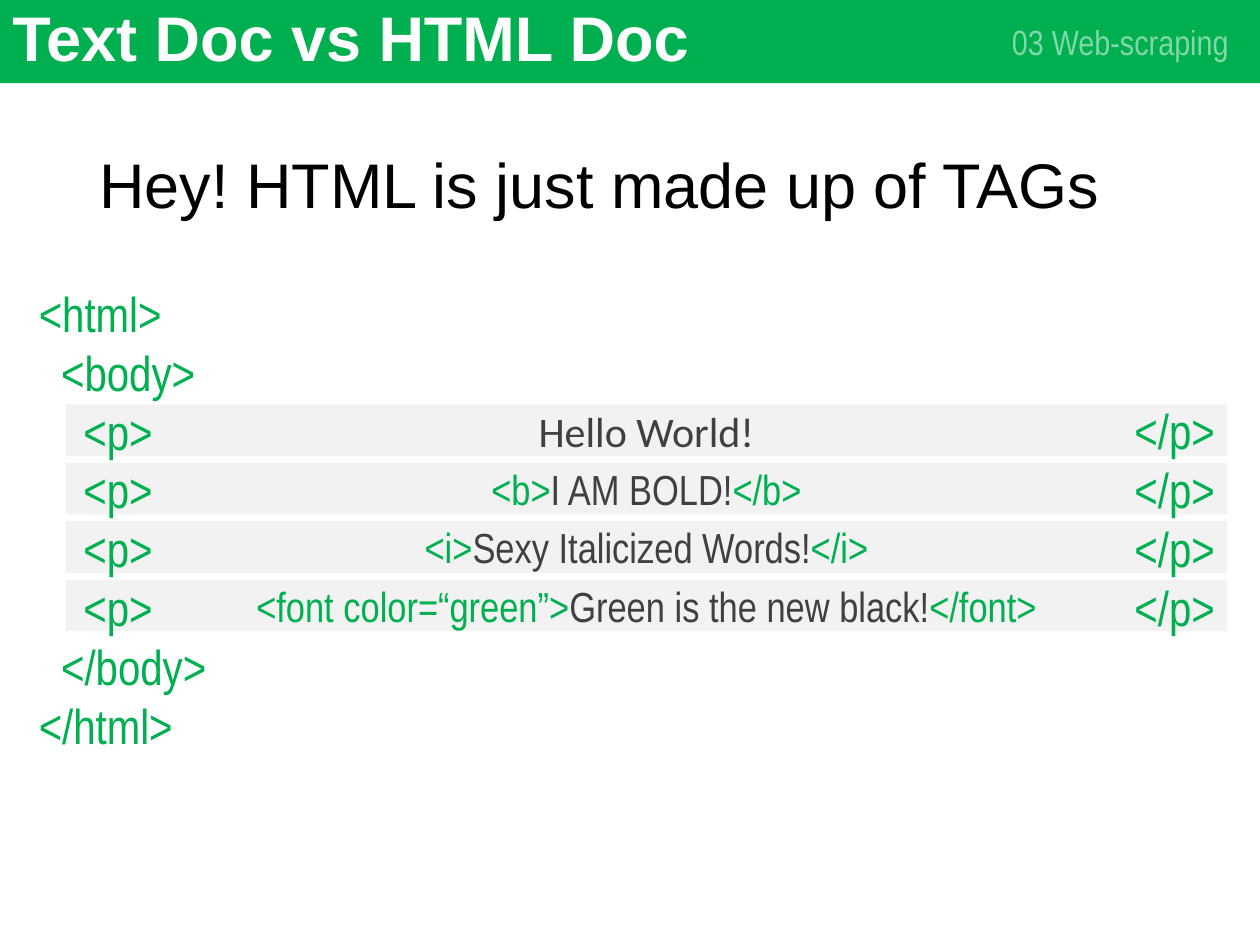
from lxml.etree import SubElement
from pptx import Presentation
from pptx.dml.color import RGBColor
from pptx.enum.shapes import MSO_SHAPE
from pptx.enum.text import MSO_ANCHOR, PP_ALIGN
from pptx.oxml.ns import qn
from pptx.util import Inches, Pt

GREEN = RGBColor(0x00, 0xB0, 0x50)
LIGHT_GRAY = RGBColor(0xF2, 0xF2, 0xF2)
DARK_GRAY = RGBColor(0x40, 0x40, 0x40)
WHITE = RGBColor(0xFF, 0xFF, 0xFF)
BLACK = RGBColor(0x00, 0x00, 0x00)

TITLE = {"name": "Arial", "size": Pt(36), "bold": True}
HEADLINE = {"name": "Arial", "size": Pt(36)}
CHAPTER = {"name": "Arial Narrow", "size": Pt(20)}
CODE = {"name": "Arial Narrow", "size": Pt(28)}
CONTENT = {"name": "Arial Narrow", "size": Pt(24)}
GREETING = {"name": "Calibri", "size": Pt(24)}

OPENING_LINES = ["<html>", "  <body>", *["    <p>"] * 4, "  </body>", "</html>"]
CLOSING_LINES = ["</p>"] * 4
ROWS = [
    (GREETING, [("Hello World!", DARK_GRAY)]),
    (CONTENT, [("<b>", GREEN), ("I AM BOLD!", DARK_GRAY), ("</b>", GREEN)]),
    (CONTENT, [("<i>", GREEN), ("Sexy Italicized Words!", DARK_GRAY), ("</i>", GREEN)]),
    (CONTENT, [("<font color=“green”>", GREEN), ("Green is the new black!", DARK_GRAY),
               ("</font>", GREEN)]),
]


def set_values(target, values):
    for name, value in values.items():
        setattr(target, name, value)


def write_lines(shape, lines, font, frame=None, paragraph_format=None):
    text_frame = shape.text_frame
    set_values(text_frame, {"word_wrap": True, **(frame or {})})
    for index, parts in enumerate(lines):
        paragraph = text_frame.add_paragraph() if index else text_frame.paragraphs[0]
        set_values(paragraph, paragraph_format or {})
        for text, color in parts:
            run = paragraph.add_run()
            run.text = text
            set_values(run.font, font)
            run.font.color.rgb = color
    return text_frame


def add_bar(slide, box, color):
    bar = slide.shapes.add_shape(MSO_SHAPE.RECTANGLE, *box)
    bar.shadow.inherit = False
    bar.fill.solid()
    bar.fill.fore_color.rgb = color
    bar.line.fill.background()
    return bar


def add_header(slide, left, top, width, height):
    add_bar(slide, (left, top, width, height), GREEN)
    title = slide.shapes.add_textbox(left, top, Inches(7.6), height)
    write_lines(title, [[("Text Doc vs HTML Doc", WHITE)]], TITLE,
                {"vertical_anchor": MSO_ANCHOR.MIDDLE}, {"line_spacing": 0.9})
    chapter_width = Inches(2.15)
    chapter = slide.shapes.add_textbox(left + width - chapter_width - Inches(0.15),
                                       top + Inches(0.13), chapter_width, Inches(0.4))
    text_frame = write_lines(chapter, [[("03 Web-scraping", WHITE)]], CHAPTER,
                             {"vertical_anchor": MSO_ANCHOR.MIDDLE},
                             {"alignment": PP_ALIGN.RIGHT})
    for color in text_frame.paragraphs[0].runs[0].font.fill.fore_color and \
            chapter.element.iter(qn("a:srgbClr")):
        SubElement(color, qn("a:alpha"), val="50000")


def add_headline(slide, left, top, width, height):
    headline = slide.shapes.add_textbox(left, top, width, height)
    write_lines(headline, [[("Hey! HTML is just made up of TAGs", BLACK)]], HEADLINE,
                paragraph_format={"line_spacing": 0.9})


def add_rows(slide, left, top, width, height):
    row_height = Inches(0.41)
    pitch = (height - row_height) / (len(ROWS) - 1)
    for index, (font, parts) in enumerate(ROWS):
        box = (left, top + round(index * pitch), width, row_height)
        write_lines(add_bar(slide, box, LIGHT_GRAY), [parts], font,
                    {"vertical_anchor": MSO_ANCHOR.MIDDLE},
                    {"alignment": PP_ALIGN.CENTER})


def add_tags(slide, lines, alignment, left, top, width, height):
    tags = slide.shapes.add_textbox(left, top, width, height)
    write_lines(tags, [[(line, GREEN)] for line in lines], CODE,
                {"word_wrap": False}, {"alignment": alignment})


def main():
    presentation = Presentation()
    presentation.slide_width = Inches(10)
    presentation.slide_height = Inches(7.5)
    slide = presentation.slides.add_slide(presentation.slide_layouts[6])
    add_header(slide, 0, 0, presentation.slide_width, Inches(0.66))
    add_headline(slide, Inches(0.69), Inches(1.17), Inches(8.62), Inches(0.65))
    add_rows(slide, Inches(0.52), Inches(3.21), Inches(9.22), Inches(1.8))
    add_tags(slide, OPENING_LINES, PP_ALIGN.LEFT,
             Inches(0.21), Inches(2.2), Inches(1.54), Inches(3.83))
    add_tags(slide, CLOSING_LINES, PP_ALIGN.RIGHT,
             Inches(8.89), Inches(3.13), Inches(0.85), Inches(1.97))
    presentation.save("out.pptx")


if __name__ == "__main__":
    main()
